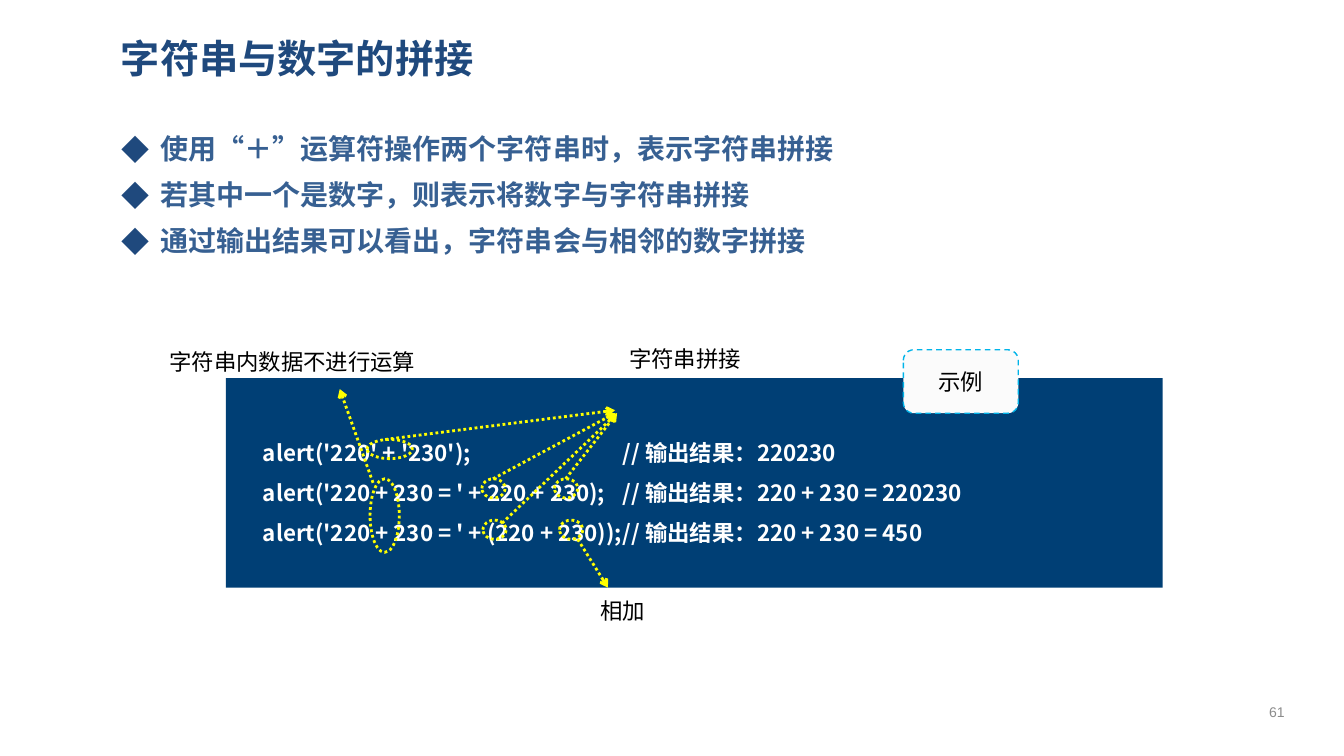
from pptx import Presentation
from pptx.dml.color import RGBColor
from pptx.enum.dml import MSO_LINE
from pptx.enum.shapes import MSO_CONNECTOR, MSO_SHAPE
from pptx.enum.text import MSO_ANCHOR, MSO_AUTO_SIZE, PP_ALIGN
from pptx.oxml.ns import qn
from pptx.util import Inches, Pt
from lxml.etree import SubElement

NAVY = RGBColor(0x1F, 0x49, 0x7D)
BLUE = RGBColor(0x37, 0x60, 0x92)
PANEL = RGBColor(0x00, 0x3F, 0x75)
CYAN = RGBColor(0x00, 0xB4, 0xE9)
PALE = RGBColor(0xFB, 0xFB, 0xFB)
YELLOW = RGBColor(0xFF, 0xFF, 0x00)
GRAY = RGBColor(0x8C, 0x8C, 0x8C)
WHITE = RGBColor(0xFF, 0xFF, 0xFF)
BLACK = RGBColor(0x00, 0x00, 0x00)
CJK = "Noto Sans CJK SC"

POINTS = [
    "使用“＋”运算符操作两个字符串时，表示字符串拼接",
    "若其中一个是数字，则表示将数字与字符串拼接",
    "通过输出结果可以看出，字符串会与相邻的数字拼接",
]
CODE = [
    "alert('220' + '230');\t\t// 输出结果：220230",
    "alert('220 + 230 = ' + 220 + 230);\t// 输出结果：220 + 230 = 220230",
    "alert('220 + 230 = ' + (220 + 230));\t// 输出结果：220 + 230 = 450",
]
LABELS = [
    ("字符串拼接", 6.12, 3.35, 1.53),
    ("字符串内数据不进行运算", 1.56, 3.38, 3.03),
    ("相加", 5.83, 5.85, 0.84),
]
RINGS = [
    (3.64, 4.36, 0.45, 0.19),
    (3.67, 4.75, 0.29, 0.73),
    (4.78, 4.75, 0.23, 0.19),
    (5.5, 4.75, 0.23, 0.19),
    (4.79, 5.16, 0.23, 0.19),
    (5.55, 5.16, 0.23, 0.19),
]
ARROWS = [
    (3.82, 4.36, 6.1, 4.07),
    (4.89, 4.75, 6.1, 4.1),
    (5.61, 4.75, 6.12, 4.1),
    (4.98, 5.19, 6.12, 4.1),
    (3.7, 4.79, 3.37, 3.86),
    (5.73, 5.35, 6.03, 5.83),
]


def place(shape, *box):
    shape.left, shape.top, shape.width, shape.height = map(Inches, box)


def write(shape, text, size, color, font=CJK, bold=False, space=None,
          align=PP_ALIGN.LEFT, anchor=MSO_ANCHOR.TOP):
    frame = shape.text_frame
    frame.text = text
    frame.word_wrap = True
    frame.auto_size = MSO_AUTO_SIZE.NONE
    frame.vertical_anchor = anchor
    for para in frame.paragraphs:
        para.alignment = align
        para.line_spacing = space
        for run in para.runs:
            run.font.size = Pt(size)
            run.font.bold = bold
            run.font.name = font
            run.font.color.rgb = color
            SubElement(run.font._element, qn("a:ea"), typeface=CJK)


def add_shape(slide, kind, box, fill=None):
    shape = slide.shapes.add_shape(kind, *map(Inches, box))
    shape.shadow.inherit = False
    if fill is None:
        shape.fill.background()
    else:
        shape.fill.solid()
        shape.fill.fore_color.rgb = fill
    shape.line.fill.background()
    return shape


def stroke(line, color, width, dash):
    line.color.rgb = color
    line.width = Pt(width)
    line.dash_style = dash


def add_ring(slide, box):
    ring = add_shape(slide, MSO_SHAPE.OVAL, box)
    stroke(ring.line, YELLOW, 2, MSO_LINE.ROUND_DOT)


def add_arrow(slide, ends):
    arrow = slide.shapes.add_connector(MSO_CONNECTOR.STRAIGHT, *map(Inches, ends))
    stroke(arrow.line, YELLOW, 2, MSO_LINE.ROUND_DOT)
    SubElement(arrow.line._get_or_add_ln(), qn("a:tailEnd"), type="arrow")
    SubElement(arrow._element.spPr, qn("a:effectLst"))


def add_label(slide, text, left, top, width):
    label = add_shape(slide, MSO_SHAPE.ROUND_2_DIAG_RECTANGLE, (left, top, width, 0.48))
    write(label, text, 16, BLACK, "Calibri")


def add_list(body):
    place(body, 1.11, 1.19, 11.65, 5.68)
    write(body, "\n".join(POINTS), 20, BLUE, bold=True, space=1.2)
    for para in body.text_frame.paragraphs:
        para.space_before = Pt(4)
        props = para._p.get_or_add_pPr()
        props.set("marL", str(Inches(0.38)))
        props.set("indent", str(-Inches(0.38)))
        tint = SubElement(props, qn("a:buClr"))
        SubElement(tint, qn("a:srgbClr"), val=str(NAVY))
        SubElement(props, qn("a:buFont"), typeface=CJK)
        SubElement(props, qn("a:buChar"), char="◆")


def add_code(slide):
    add_shape(slide, MSO_SHAPE.RECTANGLE, (2.24, 3.75, 9.29, 2.08), PANEL)
    code = slide.shapes.add_textbox(*map(Inches, (2.51, 4.17, 8.93, 1.31)))
    write(code, "\n".join(CODE), 16, WHITE, bold=True, space=1.5)
    for para in code.text_frame.paragraphs:
        tabs = SubElement(para._p.get_or_add_pPr(), qn("a:tabLst"))
        for stop in (2.67, 3.57):
            SubElement(tabs, qn("a:tab"), pos=str(Inches(stop)), algn="l")
    badge = add_shape(slide, MSO_SHAPE.ROUNDED_RECTANGLE, (8.96, 3.47, 1.14, 0.63), PALE)
    stroke(badge.line, CYAN, 1, MSO_LINE.DASH)
    write(badge, "示例", 16, BLACK, "Arial", align=PP_ALIGN.CENTER, anchor=MSO_ANCHOR.MIDDLE)


def main():
    deck = Presentation()
    deck.slide_width, deck.slide_height = Inches(13.33), Inches(7.5)
    slide = deck.slides.add_slide(deck.slide_layouts[1])
    title, body = slide.placeholders
    place(title, 1.1, 0.24, 11.65, 0.67)
    write(title, "字符串与数字的拼接", 28, NAVY, bold=True, anchor=MSO_ANCHOR.MIDDLE)
    add_list(body)
    page = slide.shapes.add_textbox(*map(Inches, (12.34, 6.86, 0.65, 0.4)))
    write(page, "61", 10, GRAY, "Arial", align=PP_ALIGN.CENTER, anchor=MSO_ANCHOR.MIDDLE)
    add_code(slide)
    for label in LABELS:
        add_label(slide, *label)
    for ring in RINGS:
        add_ring(slide, ring)
    for ends in ARROWS:
        add_arrow(slide, ends)
    deck.save("out.pptx")


if __name__ == "__main__":
    main()
